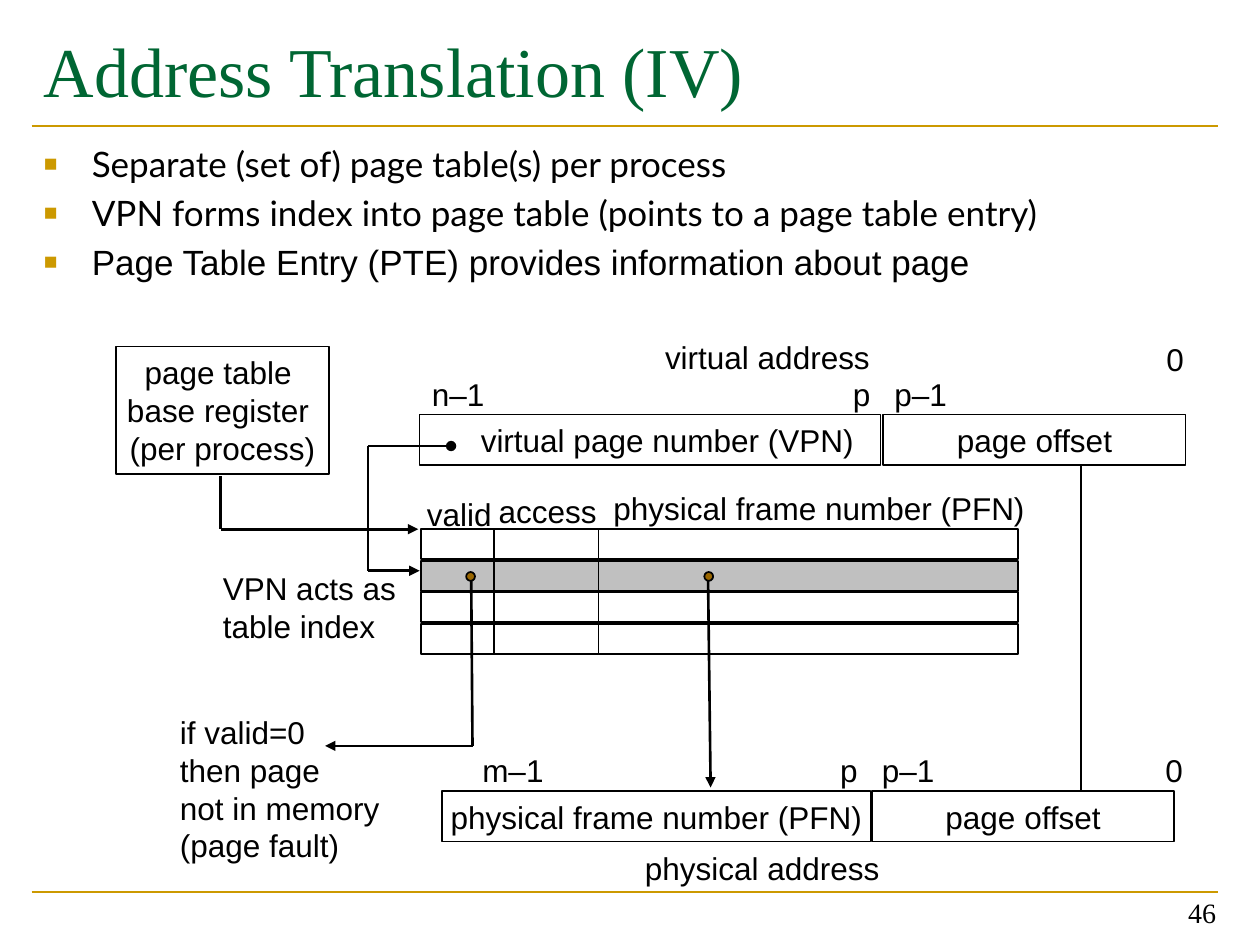
from dataclasses import dataclass

from lxml import etree
from pptx import Presentation
from pptx import util as u
from pptx.dml.color import RGBColor
from pptx.enum import shapes, text
from pptx.oxml.ns import qn


@dataclass(frozen=True)
class Theme:
    black: RGBColor = RGBColor(0, 0, 0)
    white: RGBColor = RGBColor(255, 255, 255)
    gray: RGBColor = RGBColor(0xC0, 0xC0, 0xC0)
    green: RGBColor = RGBColor(0, 0x66, 0x33)
    gold: RGBColor = RGBColor(0xCC, 0x99, 0)
    brown: RGBColor = RGBColor(0x99, 0x66, 0)
    title_size: int = 40
    bullet_size: int = 20
    label_size: int = 18
    number_size: int = 16
    serif: str = "Times New Roman"
    sans: str = "Arial"
    body: str = "Lato"


THEME = Theme()
LEFT, CENTER, RIGHT = text.PP_ALIGN.LEFT, text.PP_ALIGN.CENTER, text.PP_ALIGN.RIGHT


def inches(*values):
    return [u.Inches(value) for value in values]


def write(shape, content, size=THEME.label_size, font=THEME.sans,
          color=THEME.black, align=LEFT):
    shape.text_frame.text = content
    for paragraph in shape.text_frame.paragraphs:
        paragraph.alignment = align
        for run in paragraph.runs:
            run.font.size = u.Pt(size)
            run.font.name = font
            run.font.color.rgb = color


def add_text(slide, box, content, **style):
    shape = slide.shapes.add_textbox(*inches(*box))
    shape.text_frame.word_wrap = True
    write(shape, content, **style)
    return shape


def add_shape(slide, box, content="", fill=THEME.white,
              kind=shapes.MSO_SHAPE.RECTANGLE):
    shape = slide.shapes.add_shape(kind, *inches(*box))
    shape.shadow.inherit = False
    shape.fill.solid()
    shape.fill.fore_color.rgb = fill
    shape.line.color.rgb = THEME.black
    shape.line.width = u.Pt(1)
    if content:
        shape.text_frame.word_wrap = False
        shape.text_frame.vertical_anchor = text.MSO_ANCHOR.MIDDLE
        write(shape, content, align=CENTER)
    return shape


def add_line(slide, start, end, color=THEME.black, tail=None):
    line = slide.shapes.add_connector(
        shapes.MSO_CONNECTOR.STRAIGHT, *inches(*start, *end))
    line.line.color.rgb = color
    line.line.width = u.Pt(1.5)
    if tail:
        etree.SubElement(line.line._get_or_add_ln(), qn("a:tailEnd"), type=tail)
    etree.SubElement(line._element.spPr, qn("a:effectLst"))


def add_path(slide, points, tail=None):
    last = len(points) - 2
    for index, (start, end) in enumerate(zip(points, points[1:])):
        add_line(slide, start, end, tail=tail if index == last else None)


def add_bullets(slide, box, items):
    shape = add_text(slide, box, "\n".join(content for content, _ in items),
                     size=THEME.bullet_size)
    for paragraph, (_, font) in zip(shape.text_frame.paragraphs, items):
        paragraph.space_before = u.Pt(THEME.bullet_size * 0.2)
        paragraph.runs[0].font.name = font
        properties = paragraph._p.get_or_add_pPr()
        properties.set("marL", str(u.Inches(0.38)))
        properties.set("indent", str(u.Inches(-0.38)))
        color = etree.SubElement(properties, qn("a:buClr"))
        etree.SubElement(color, qn("a:srgbClr"), val=str(THEME.gold))
        etree.SubElement(properties, qn("a:buSzPct"), val="65000")
        etree.SubElement(properties, qn("a:buFont"), typeface=THEME.sans)
        etree.SubElement(properties, qn("a:buChar"), char="■")


def add_frame(slide):
    for y in (1, 7.08):
        add_line(slide, (0.25, y), (9.67, y), THEME.gold)
    add_text(slide, (0.25, 0.17, 9.42, 1.17), "Address Translation (IV)",
             size=THEME.title_size, font=THEME.serif, color=THEME.green)
    number = add_text(slide, (7.42, 6.92, 2.33, 0.5), "46",
                      size=THEME.number_size, font=THEME.serif, align=RIGHT)
    number.text_frame.vertical_anchor = text.MSO_ANCHOR.BOTTOM


def add_addresses(slide):
    page_number = add_shape(slide, (3.33, 3.29, 3.66, 0.4), "virtual page number (VPN)")
    page_number.text_frame.margin_left = u.Inches(0.37)
    add_shape(slide, (7.01, 3.29, 2.4, 0.4), "page offset")
    add_shape(slide, (3.51, 6.28, 3.4, 0.4), "physical frame number (PFN)")
    add_shape(slide, (6.92, 6.28, 2.4, 0.4), "page offset")
    add_shape(slide, (0.92, 2.75, 1.69, 1.01),
              "page table \nbase register \n(per process)")


def add_page_table(slide):
    columns = ((3.34, 0.58), (3.92, 0.83), (4.75, 3.33))
    for row in range(4):
        fill = THEME.gray if row == 1 else THEME.white
        for left, width in columns:
            add_shape(slide, (left, 4.2 + 0.25 * row, width, 0.24), fill=fill)
    for left in (3.7, 5.59):
        add_shape(slide, (left, 4.54, 0.07, 0.07), fill=THEME.brown,
                  kind=shapes.MSO_SHAPE.OVAL)


def add_labels(slide):
    for left, top, width, content in (
        (5.18, 2.63, 2.1, "virtual address"),
        (3.33, 2.93, 0.75, "n–1"),
        (6.67, 2.93, 0.4, "p"),
        (7, 2.93, 0.75, "p–1"),
        (9.16, 2.65, 0.4, "0"),
        (3.29, 3.88, 0.8, "valid"),
        (3.86, 3.86, 1.1, "access"),
        (4.77, 3.83, 3.6, "physical frame number (PFN)"),
        (3.73, 5.91, 0.8, "m–1"),
        (6.57, 5.91, 0.4, "p"),
        (6.9, 5.91, 0.75, "p–1"),
        (9.15, 5.91, 0.4, "0"),
        (5.02, 6.69, 2.3, "physical address"),
    ):
        add_text(slide, (left, top, width, 0.4), content)
    add_text(slide, (1.33, 5.61, 1.9, 1.31),
             "if valid=0\nthen page\nnot in memory\v(page fault)")
    add_text(slide, (1.67, 4.47, 1.6, 0.7), "VPN acts as\ntable index")


def add_arrows(slide):
    add_path(slide, ((1.75, 3.78), (1.75, 4.2), (3.32, 4.2)), "triangle")
    add_path(slide, ((2.92, 3.54), (3.58, 3.54)), "oval")
    add_path(slide, ((2.92, 3.54), (2.92, 4.53), (3.33, 4.53)), "triangle")
    add_path(slide, ((3.74, 4.61), (3.75, 5.92), (2.58, 5.92)), "triangle")
    add_path(slide, ((5.62, 4.61), (5.64, 6.25)), "triangle")
    add_path(slide, ((8.58, 3.7), (8.58, 6.27)))


def main():
    presentation = Presentation()
    presentation.slide_width, presentation.slide_height = inches(10, 7.5)
    slide = presentation.slides.add_slide(presentation.slide_layouts[6])
    add_frame(slide)
    add_bullets(slide, (0.25, 1.08, 9.58, 2), (
        ("Separate (set of) page table(s) per process", THEME.body),
        ("VPN forms index into page table (points to a page table entry)", THEME.body),
        ("Page Table Entry (PTE) provides information about page", THEME.sans),
    ))
    add_addresses(slide)
    add_page_table(slide)
    add_labels(slide)
    add_arrows(slide)
    presentation.save("out.pptx")


if __name__ == "__main__":
    main()
